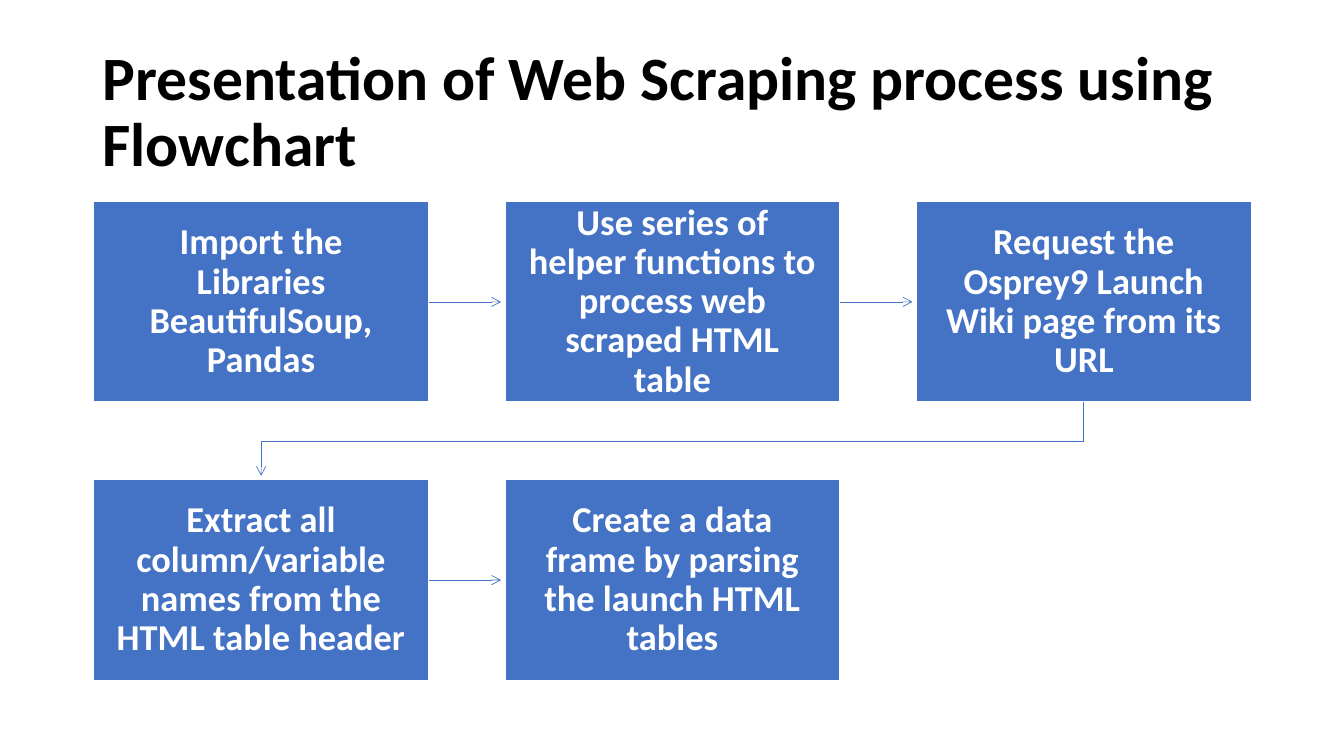
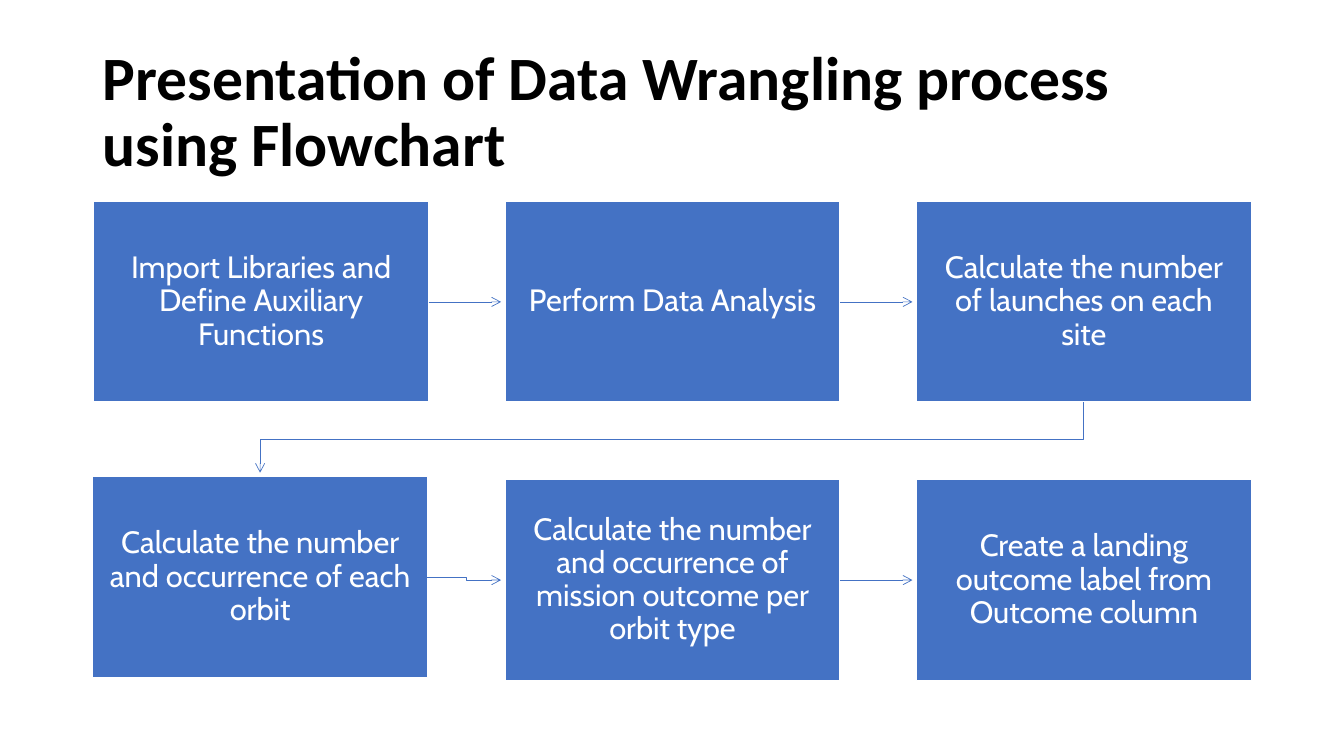
from dataclasses import dataclass, field

from lxml.etree import SubElement as Sub
from pptx import Presentation
from pptx.dml.color import RGBColor as Rgb
from pptx.enum.shapes import MSO_CONNECTOR as Conn, MSO_SHAPE as Kind
from pptx.enum.text import MSO_ANCHOR as Anchor, PP_ALIGN as Align
from pptx.oxml.ns import qn
from pptx.util import Inches, Pt

# Shared look
WIDE, HIGH = 13.33, 7.5
HUES = {"box": "4472C4", "edge": "FFFFFF", "text": "FFFFFF", "title": "000000"}
TITLE = {"name": "Calibri", "size": Pt(44), "bold": True}
HEAD = (0.92, 0.4, 11.5, 1.45)

# Grid of boxes
COLS = 3
LEFT, TOP = 0.93, 2
BOX_W, BOX_H = 3.32, 1.99
STEP_X, STEP_Y = 4.08, 2.76
GAP = 0.04  # between an arrow's tip and the next box


@dataclass
class Flow:
    title: str
    steps: list[str]
    font: dict
    inset: float
    nudge: dict[int, tuple[float, float]] = field(default_factory=dict)


@dataclass
class Box:
    shape: object
    x: float
    y: float

    @property
    def mid(self) -> tuple[float, float]:
        return self.x + BOX_W / 2, self.y + BOX_H / 2


FLOWS = [
    Flow(
        "Presentation of Web Scraping process using Flowchart",
        [
            "Import the Libraries BeautifulSoup, Pandas",
            "Use series of helper functions to process web scraped HTML table",
            "Request the Osprey9 Launch Wiki page from its URL",
            "Extract all column/variable names from the HTML table header",
            "Create a data frame by parsing the launch HTML tables",
        ],
        {"name": "Calibri", "size": Pt(26), "bold": True},
        0.2,
    ),
    Flow(
        "Presentation of Data Wrangling process using Flowchart",
        [
            "Import Libraries and Define Auxiliary Functions",
            "Perform Data Analysis",
            "Calculate the number of launches on each site",
            "Calculate the number and occurrence of each orbit",
            "Calculate the number and occurrence of mission outcome per orbit type",
            "Create a landing outcome label from Outcome column",
        ],
        {"name": "Cabin", "size": Pt(22), "bold": False},
        0.17,
        {3: (-0.01, -0.03)},
    ),
]


def hue(key: str) -> Rgb:
    return Rgb.from_string(HUES[key])


def write(shape, text: str, font: dict, key: str, align, pad: tuple) -> None:
    """Fill a shape with one centred-in-height paragraph."""
    frame = shape.text_frame
    pad_x, pad_y = (Inches(n) for n in pad)
    form = {
        "word_wrap": True, "vertical_anchor": Anchor.MIDDLE,
        "margin_left": pad_x, "margin_right": pad_x,
        "margin_top": pad_y, "margin_bottom": pad_y,
    }
    for name, value in form.items():
        setattr(frame, name, value)
    para = frame.paragraphs[0]
    para.alignment, para.line_spacing = align, 0.9
    run = para.add_run()
    run.text = text
    for name, value in font.items():
        setattr(run.font, name, value)
    run.font.color.rgb = hue(key)


def add_box(slide, flow: Flow, num: int) -> Box:
    row, col = divmod(num, COLS)
    dx, dy = flow.nudge.get(num, (0, 0))
    x, y = LEFT + col * STEP_X + dx, TOP + row * STEP_Y + dy
    shape = slide.shapes.add_shape(
        Kind.RECTANGLE, *map(Inches, (x, y, BOX_W, BOX_H)))
    shape.shadow.inherit = False
    shape.fill.solid()
    shape.fill.fore_color.rgb = hue("box")
    shape.line.color.rgb = hue("edge")
    shape.line.width = Pt(1)
    write(shape, flow.steps[num], flow.font, "text", Align.CENTER,
          (flow.inset, flow.inset))
    return Box(shape, x, y)


def style(line) -> None:
    """Thin line with an open arrowhead and no shadow."""
    line.line.color.rgb = hue("box")
    line.line.width = Pt(0.5)
    props = line._element.spPr
    Sub(props.find(qn("a:ln")), qn("a:tailEnd"), type="arrow")
    Sub(props, qn("a:effectLst"))


def bend(slide, points: list) -> None:
    """Arrow along a path with corners."""
    start, *rest = [tuple(map(Inches, p)) for p in points]
    path = slide.shapes.build_freeform(*start)
    path.add_line_segments(rest, close=False)
    line = path.convert_to_shape()
    line.fill.background()
    style(line)


def link(slide, one: Box, two: Box) -> None:
    (x1, y1), (x2, y2) = one.mid, two.mid
    if x2 < x1:  # wrap to the next row
        low, tip = one.y + BOX_H, two.y - GAP
        turn = (low + two.y) / 2
        bend(slide, [(x1, low), (x1, turn), (x2, turn), (x2, tip)])
        return
    edge, tip = one.x + BOX_W, two.x - GAP
    if y1 != y2:  # small step between uneven boxes
        turn = (edge + two.x) / 2
        bend(slide, [(edge, y1), (turn, y1), (turn, y2), (tip, y2)])
        return
    line = slide.shapes.add_connector(
        Conn.STRAIGHT, *map(Inches, (edge, y1, tip, y2)))
    line.begin_connect(one.shape, 3)
    style(line)


def draw(deck, flow: Flow) -> None:
    slide = deck.slides.add_slide(deck.slide_layouts[6])
    # Title
    head = slide.shapes.add_textbox(*map(Inches, HEAD))
    write(head, flow.title, TITLE, "title", Align.LEFT, (0.1, 0.05))
    # Boxes, then arrows
    boxes = [add_box(slide, flow, num) for num in range(len(flow.steps))]
    for one, two in zip(boxes, boxes[1:]):
        link(slide, one, two)


def main() -> None:
    deck = Presentation()
    deck.slide_width, deck.slide_height = Inches(WIDE), Inches(HIGH)
    for flow in FLOWS:
        draw(deck, flow)
    deck.save("out.pptx")


if __name__ == "__main__":
    main()
